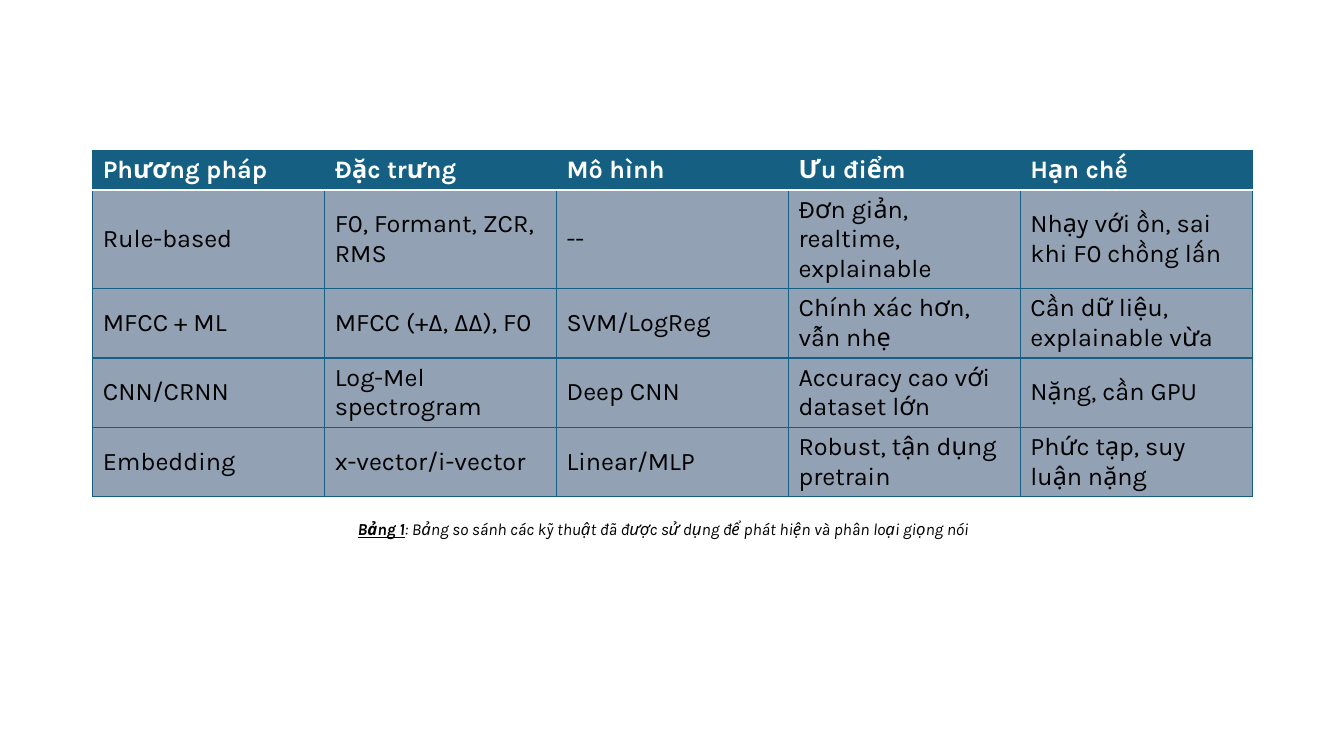
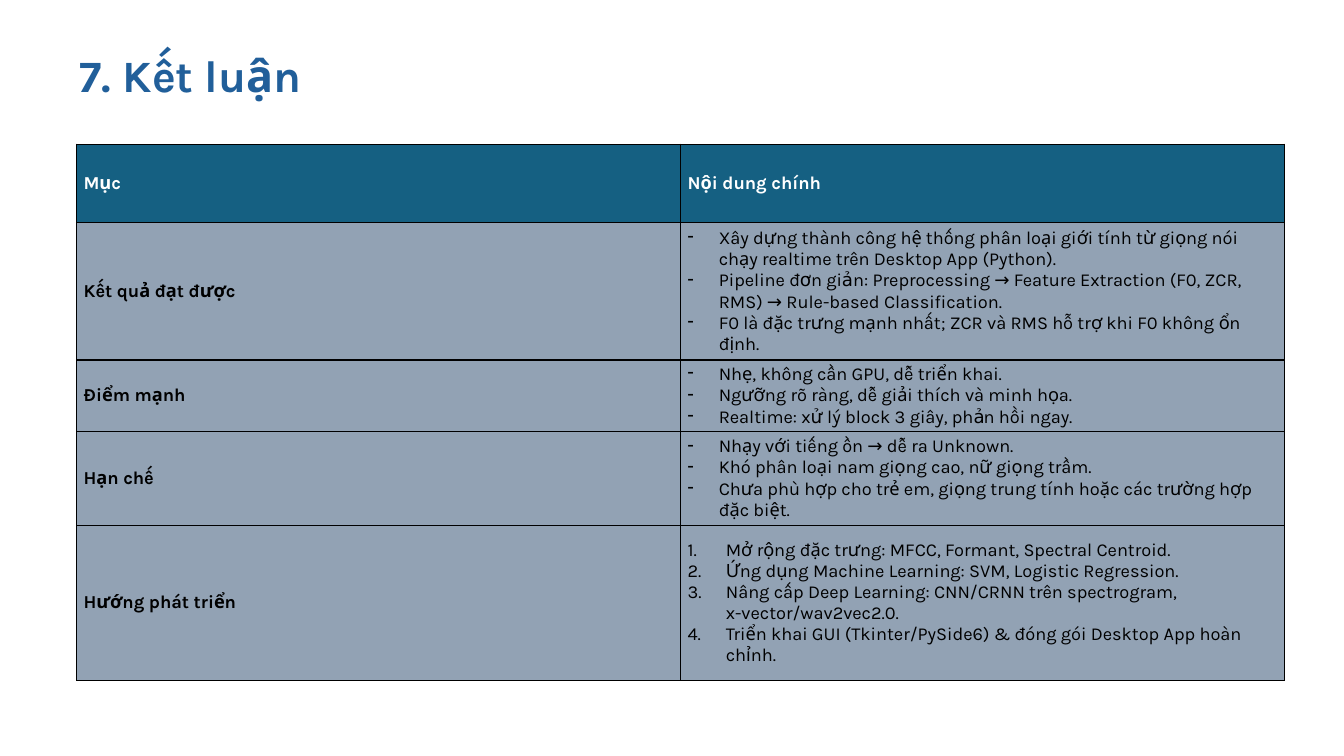
import pptx
import pptx.dml.color
import pptx.enum.text
import pptx.oxml.ns
import pptx.util
import lxml.etree

Inches = pptx.util.Inches
Pt = pptx.util.Pt
RGBColor = pptx.dml.color.RGBColor
qn = pptx.oxml.ns.qn

# Shared look
TEAL = RGBColor(0x15, 0x60, 0x82)
SLATE = RGBColor(0x92, 0xA2, 0xB4)
BLUE = RGBColor(0x21, 0x5F, 0x9A)
WHITE = RGBColor(0xFF, 0xFF, 0xFF)
BLACK = RGBColor(0x00, 0x00, 0x00)
FACE = "Karla"


def style(font, size, color, bold):
    font.name = FACE
    font.size = Pt(size)
    font.color.rgb = color
    font.bold = bold


def grid(slide, left, top, cols, heights, rows, size, line, rule, inset, lead):
    """Add a table; a cell holds a string or a (bullet, indent, lines) list.

    line colours the borders, rule is (colour, width) below the header,
    inset is (side, end) margins, lead makes the first column bold.
    """
    table = slide.shapes.add_table(
        len(rows), len(cols), Inches(left), Inches(top),
        Inches(sum(cols)), Inches(sum(heights))).table
    for col, width in zip(table.columns, cols):
        col.width = Inches(width)
    for row, height in zip(table.rows, heights):
        row.height = Inches(height)
    for r, row in enumerate(rows):
        for c, body in enumerate(row):
            cell = table.cell(r, c)
            cell.vertical_anchor = pptx.enum.text.MSO_ANCHOR.MIDDLE
            cell.margin_left = cell.margin_right = Inches(inset[0])
            cell.margin_top = cell.margin_bottom = Inches(inset[1])

            # Borders come before the fill
            props = cell._tc.get_or_add_tcPr()
            for side in "LRTB":
                split = (r, side) in ((0, "B"), (1, "T"))
                color, width = rule if split else (line, 1)
                edge = lxml.etree.SubElement(
                    props, qn("a:ln" + side), w=str(Pt(width)))
                fill = lxml.etree.SubElement(edge, qn("a:solidFill"))
                lxml.etree.SubElement(fill, qn("a:srgbClr"), val=str(color))
            cell.fill.solid()
            cell.fill.fore_color.rgb = SLATE if r else TEAL

            # Text, with bullets where the cell is a list
            mark, indent, lines = (None, 0, [body]) if isinstance(body, str) else body
            frame = cell.text_frame
            frame.text = "\n".join(lines)
            for para in frame.paragraphs:
                style(para.font, size, BLACK if r else WHITE,
                      r == 0 or (lead and c == 0))
                if mark:
                    ppr = para._p.get_or_add_pPr()
                    ppr.set("marL", str(Inches(indent)))
                    ppr.set("indent", str(-Inches(indent)))
                    if mark == "1.":
                        bullet = lxml.etree.Element(
                            qn("a:buAutoNum"), type="arabicPeriod")
                    else:
                        bullet = lxml.etree.Element(qn("a:buChar"), char=mark)
                    ppr.insert(0, bullet)


deck = pptx.Presentation()
deck.slide_width = Inches(13.33)
deck.slide_height = Inches(7.5)
blank = deck.slide_layouts[6]

# Slide 1: comparison of methods
slide = deck.slides.add_slide(blank)
methods = [
    ["Phương pháp", "Đặc trưng", "Mô hình", "Ưu điểm", "Hạn chế"],
    ["Rule-based", "F0, Formant, ZCR, RMS", "--",
     "Đơn giản, realtime, explainable", "Nhạy với ồn, sai khi F0 chồng lấn"],
    ["MFCC + ML", "MFCC (+Δ, ΔΔ), F0", "SVM/LogReg",
     "Chính xác hơn, vẫn nhẹ", "Cần dữ liệu, explainable vừa"],
    ["CNN/CRNN", "Log-Mel spectrogram", "Deep CNN",
     "Accuracy cao với dataset lớn", "Nặng, cần GPU"],
    ["Embedding", "x-vector/i-vector", "Linear/MLP",
     "Robust, tận dụng pretrain", "Phức tạp, suy luận nặng"],
]
grid(slide, 0.92, 1.49, [2.3] * 5, [0.39, 0.98] + [0.68] * 3, methods,
     18, TEAL, (WHITE, 1.5), (0.1, 0.05), False)

# Caption
box = slide.shapes.add_textbox(Inches(3.45), Inches(5.1), Inches(6.43), Inches(0.3))
frame = box.text_frame
frame.word_wrap = False
frame.auto_size = pptx.enum.text.MSO_AUTO_SIZE.SHAPE_TO_FIT_TEXT
para = frame.paragraphs[0]
caption = [
    ("Bảng 1", True),
    (": Bảng so sánh các kỹ thuật đã được sử dụng để phát hiện và phân loại giọng nói",
     False),
]
for text, label in caption:
    run = para.add_run()
    run.text = text
    style(run.font, 12, BLACK, label)
    run.font.italic = True
    run.font.underline = label

# Slide 2: conclusion
slide = deck.slides.add_slide(blank)
box = slide.shapes.add_textbox(Inches(0.69), Inches(0.42), Inches(7.65), Inches(0.64))
frame = box.text_frame
frame.word_wrap = True
frame.auto_size = pptx.enum.text.MSO_AUTO_SIZE.SHAPE_TO_FIT_TEXT
frame.text = "7. Kết luận"
style(frame.paragraphs[0].font, 32, BLUE, True)

points = [
    ["Mục", "Nội dung chính"],
    ["Kết quả đạt được", ("-", 0.31, [
        "Xây dựng thành công hệ thống phân loại giới tính từ giọng nói chạy realtime trên Desktop App (Python).",
        "Pipeline đơn giản: Preprocessing → Feature Extraction (F0, ZCR, RMS) → Rule-based Classification.",
        "F0 là đặc trưng mạnh nhất; ZCR và RMS hỗ trợ khi F0 không ổn định."])],
    ["Điểm mạnh", ("-", 0.31, [
        "Nhẹ, không cần GPU, dễ triển khai.",
        "Ngưỡng rõ ràng, dễ giải thích và minh họa.",
        "Realtime: xử lý block 3 giây, phản hồi ngay."])],
    ["Hạn chế", ("-", 0.31, [
        "Nhạy với tiếng ồn → dễ ra Unknown.",
        "Khó phân loại nam giọng cao, nữ giọng trầm.",
        "Chưa phù hợp cho trẻ em, giọng trung tính hoặc các trường hợp đặc biệt."])],
    ["Hướng phát triển", ("1.", 0.38, [
        "Mở rộng đặc trưng: MFCC, Formant, Spectral Centroid.",
        "Ứng dụng Machine Learning: SVM, Logistic Regression.",
        "Nâng cấp Deep Learning: CNN/CRNN trên spectrogram, x-vector/wav2vec2.0.",
        "Triển khai GUI (Tkinter/PySide6) & đóng gói Desktop App hoàn chỉnh."])],
]
grid(slide, 0.76, 1.43, [5.99] * 2, [0.78, 1.33, 0.7, 0.91, 1.54], points,
     13, BLACK, (BLACK, 1), (0.07, 0.03), True)

deck.save("out.pptx")
